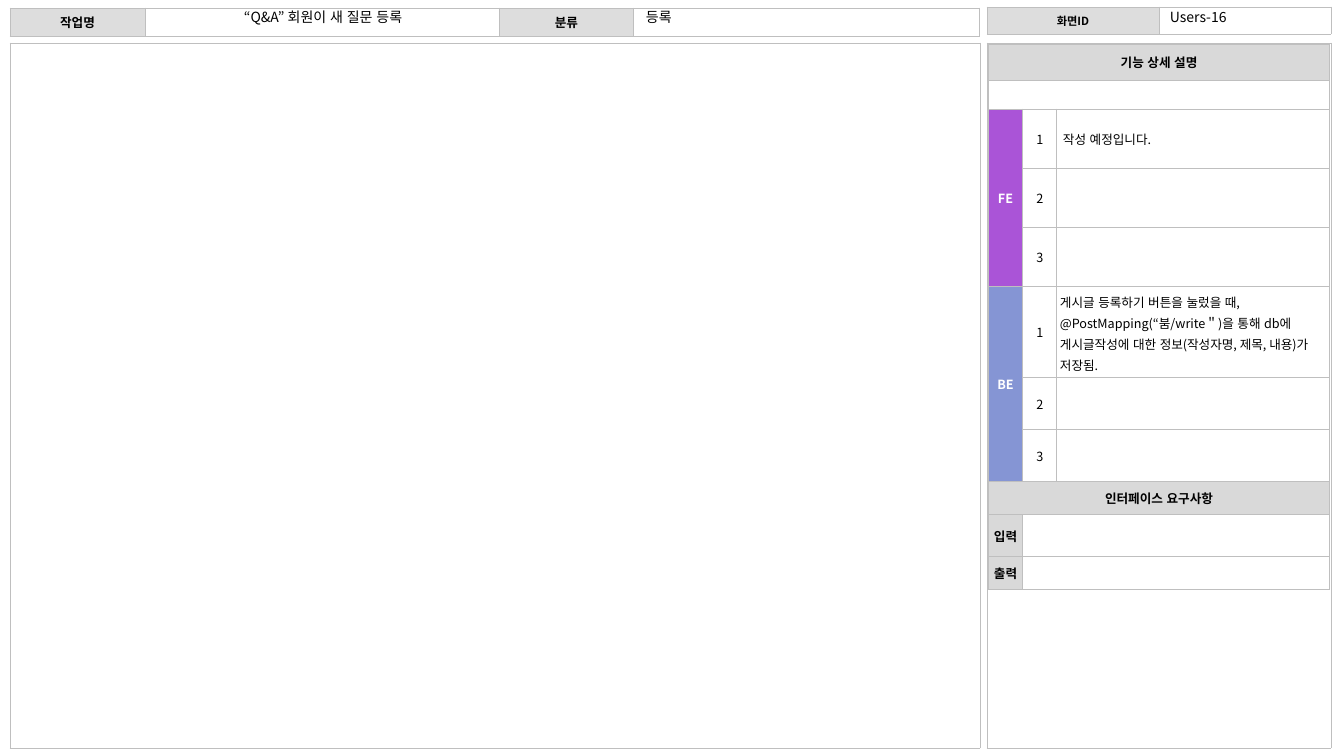
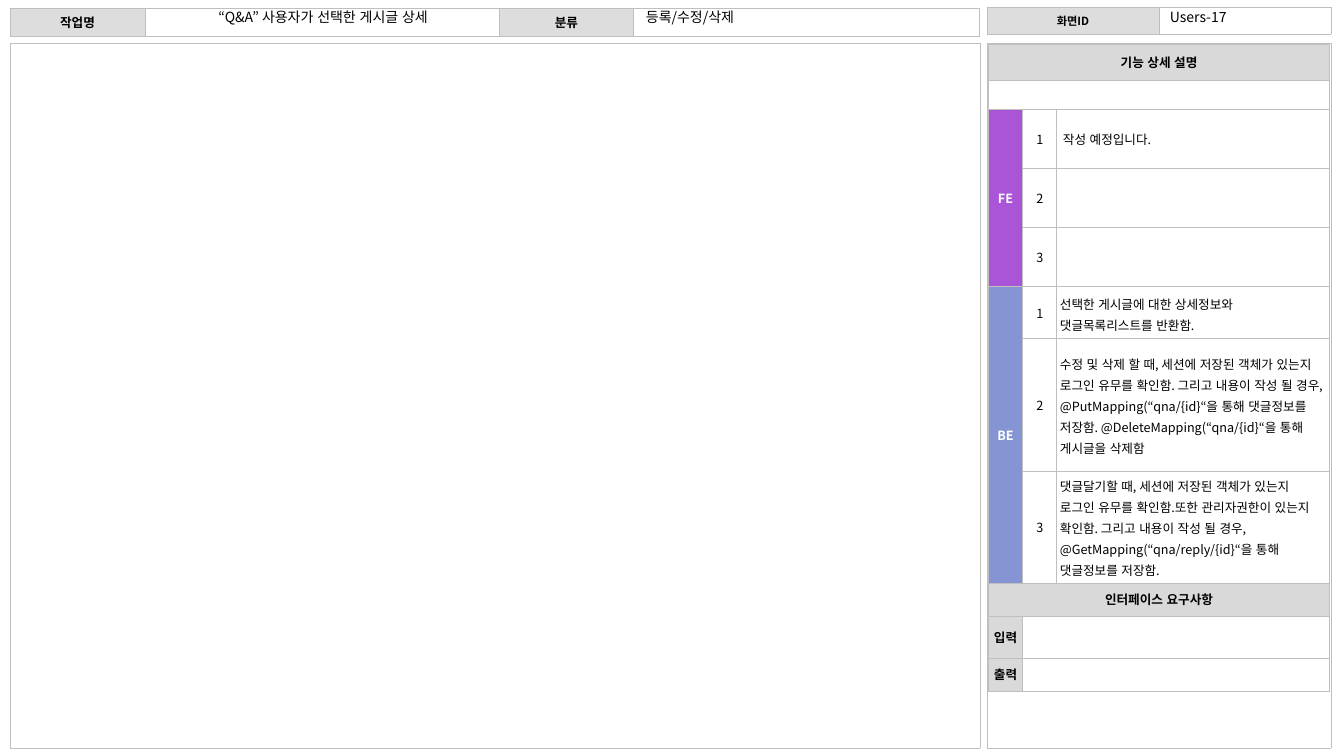
from dataclasses import dataclass

from lxml import etree
from pptx import Presentation
from pptx import util as u
from pptx.dml.color import RGBColor
from pptx.enum import lang, text
from pptx.oxml import ns

# Shared look
EMU_PER_PX = 914400 / 100.8
FONT = "Noto Sans CJK KR"
BLACK, WHITE, LINE = "000000", "FFFFFF", "BFBFBF"
LABEL, BAND, FRONT, BACK = "DDDDDD", "D9D9D9", "AA54D7", "8595D4"
LEFT, CENTER = text.PP_ALIGN.LEFT, text.PP_ALIGN.CENTER


@dataclass(frozen=True)
class Box:
    x: int
    y: int
    w: int
    h: int


@dataclass(frozen=True)
class Cell:
    row: int
    col: int
    words: str = ""
    fill: str = ""
    color: str = BLACK
    bold: bool = False
    align: text.PP_ALIGN = CENTER
    line: float = 1.0
    left: int = 3
    rows: int = 1
    cols: int = 1


@dataclass(frozen=True)
class Grid:
    x: int
    y: int
    cols: tuple[int, ...]
    rows: tuple[int, ...]
    cells: tuple[Cell, ...] = ()
    size: int = 9
    inset: tuple[int, int] = (3, 3)


@dataclass(frozen=True)
class Spec:
    task: str
    kind: str
    screen_id: str
    backend: tuple[str, ...]
    backend_rows: tuple[int, ...]


TASK_BOX = Box(146, 8, 354, 26)
KIND_BOX = Box(636, 8, 342, 26)
ID_BOX = Box(1160, 8, 170, 26)

# Frames and header strips found on every slide
FRAME_GRIDS = (
    Grid(987, 43, (344,), (705,)),
    Grid(10, 43, (970,), (705,)),
    Grid(10, 8, (135, 354, 135, 346), (28,),
         (Cell(0, 0, "작업명", LABEL, bold=True, left=13),
          Cell(0, 2, "분류", LABEL, bold=True, left=13)), inset=(13, 5)),
    Grid(987, 7, (172, 172), (27,),
         (Cell(0, 0, "화면ID", LABEL, bold=True, left=13),), size=8, inset=(13, 5)),
)

SPECS = (
    Spec("“Q&A” 회원이 새 질문 등록", "등록", "Users-16",
         ("게시글 등록하기 버튼을 눌렀을 때, @PostMapping(“붐/write＂)을 통해 db에 "
          "게시글작성에 대한 정보(작성자명, 제목, 내용)가 저장됨.", "", ""),
         (91, 52, 52)),
    Spec("“Q&A” 사용자가 선택한 게시글 상세", "등록/수정/삭제", "Users-17",
         ("선택한 게시글에 대한 상세정보와 댓글목록리스트를 반환함.",
          "수정 및 삭제 할 때, 세션에 저장된 객체가 있는지 로그인 유무를 확인함. "
          "그리고 내용이 작성 될 경우, @PutMapping(“qna/{id}“을 통해 댓글정보를 저장함. "
          "@DeleteMapping(“qna/{id}“을 통해 게시글을 삭제함",
          "댓글달기할 때, 세션에 저장된 객체가 있는지 로그인 유무를 확인함.또한 "
          "관리자권한이 있는지 확인함. 그리고 내용이 작성 될 경우, "
          "@GetMapping(“qna/reply/{id}“을 통해 댓글정보를 저장함."),
         (52, 112, 112)),
)


def px(n: float) -> u.Emu:
    return u.Emu(round(n * EMU_PER_PX))


def rgb(value: str) -> RGBColor:
    return RGBColor.from_string(value)


def set_all(target, values: dict) -> None:
    for name, value in values.items():
        setattr(target, name, value)


def write(p, value: str, size: int, color: str = BLACK, bold: bool = False,
          align: text.PP_ALIGN = LEFT, line: float = 1.0) -> None:
    set_all(p, {"alignment": align, "line_spacing": line, "space_before": u.Pt(0)})
    r = p.add_run()
    r.text = value
    set_all(r.font, {"name": FONT, "size": u.Pt(size), "bold": bold,
                     "language_id": lang.MSO_LANGUAGE_ID.KOREAN})
    r.font.color.rgb = rgb(color)
    east_asian = etree.SubElement(r._r.get_or_add_rPr(), ns.qn("a:ea"))
    east_asian.set("typeface", FONT)


def add_borders(cell) -> None:
    tc_pr = cell._tc.get_or_add_tcPr()
    for side in ("lnL", "lnR", "lnT", "lnB"):
        ln = etree.SubElement(tc_pr, ns.qn(f"a:{side}"), w=str(int(u.Pt(0.75))))
        fill = etree.SubElement(ln, ns.qn("a:solidFill"))
        etree.SubElement(fill, ns.qn("a:srgbClr"), val=LINE)


def draw_grid(s, grid: Grid) -> None:
    frame = s.shapes.add_table(len(grid.rows), len(grid.cols), px(grid.x), px(grid.y),
                               px(sum(grid.cols)), px(sum(grid.rows)))
    table = frame.table
    set_all(table, {"first_row": False, "horz_banding": False})
    for column, width in zip(table.columns, grid.cols):
        column.width = px(width)
    for row, height in zip(table.rows, grid.rows):
        row.height = px(height)

    # Every cell gets the same lines and insets, filled or not
    filled = {(c.row, c.col): c for c in grid.cells}
    side, edge = map(px, grid.inset)
    for i in range(len(grid.rows)):
        for j in range(len(grid.cols)):
            cell = table.cell(i, j)
            set_all(cell, {"margin_left": side, "margin_right": side,
                           "margin_top": edge, "margin_bottom": edge,
                           "vertical_anchor": text.MSO_ANCHOR.MIDDLE})
            add_borders(cell)
            cell.fill.background()
            p = cell.text_frame.paragraphs[0]
            c = filled.get((i, j))
            if c and c.fill:
                cell.fill.solid()
                cell.fill.fore_color.rgb = rgb(c.fill)
            if c and c.words:
                cell.margin_left = px(c.left)
                write(p, c.words, grid.size, c.color, c.bold, c.align, c.line)
            else:
                etree.SubElement(p._p, ns.qn("a:endParaRPr"), sz=str(grid.size * 100))
    for c in grid.cells:
        if c.rows * c.cols > 1:
            last = table.cell(c.row + c.rows - 1, c.col + c.cols - 1)
            table.cell(c.row, c.col).merge(last)


def detail_grid(spec: Spec) -> Grid:
    cells = [Cell(0, 0, "기능 상세 설명", BAND, bold=True, cols=3),
             Cell(1, 0, cols=3),
             Cell(8, 0, "인터페이스 요구사항", BAND, bold=True, cols=3)]
    # Numbered front-end and back-end rows
    groups = ((2, "FE", FRONT, ("작성 예정입니다.", "", ""), 1.0, 6),
              (5, "BE", BACK, spec.backend, 1.15, 3))
    for first, name, fill, notes, line, left in groups:
        cells.append(Cell(first, 0, name, fill, WHITE, True, rows=3))
        for i, note in enumerate(notes):
            cells += [Cell(first + i, 1, str(i + 1)),
                      Cell(first + i, 2, note, align=LEFT, line=line, left=left)]
    # Interface rows
    for row, name in enumerate(("입력", "출력"), start=9):
        cells += [Cell(row, 0, name, BAND, bold=True), Cell(row, 1, cols=2)]
    rows = (36, 29, 60, 59, 59, *spec.backend_rows, 33, 42, 33)
    return Grid(988, 44, (35, 34, 273), rows, tuple(cells))


def fill_box(sp, box: Box, value: str, align: text.PP_ALIGN = LEFT) -> None:
    set_all(sp, {"left": px(box.x), "top": px(box.y),
                 "width": px(box.w), "height": px(box.h)})
    tf = sp.text_frame
    set_all(tf, {"word_wrap": True, "auto_size": text.MSO_AUTO_SIZE.NONE,
                 "vertical_anchor": text.MSO_ANCHOR.TOP,
                 "margin_left": px(10), "margin_right": px(10),
                 "margin_top": px(2), "margin_bottom": px(2)})
    write(tf.paragraphs[0], value, 10, align=align, line=0.9)


def build_slide(prs, spec: Spec) -> None:
    s = prs.slides.add_slide(prs.slide_layouts[5])
    for grid in (*FRAME_GRIDS, detail_grid(spec)):
        draw_grid(s, grid)
    fill_box(s.shapes.title, TASK_BOX, spec.task, CENTER)
    for box, value in ((KIND_BOX, spec.kind), (ID_BOX, spec.screen_id)):
        fill_box(s.shapes.add_textbox(0, 0, 0, 0), box, value)


def main() -> None:
    prs = Presentation()
    set_all(prs, {"slide_width": px(1344), "slide_height": px(756)})
    for spec in SPECS:
        build_slide(prs, spec)
    prs.save("out.pptx")


if __name__ == "__main__":
    main()
